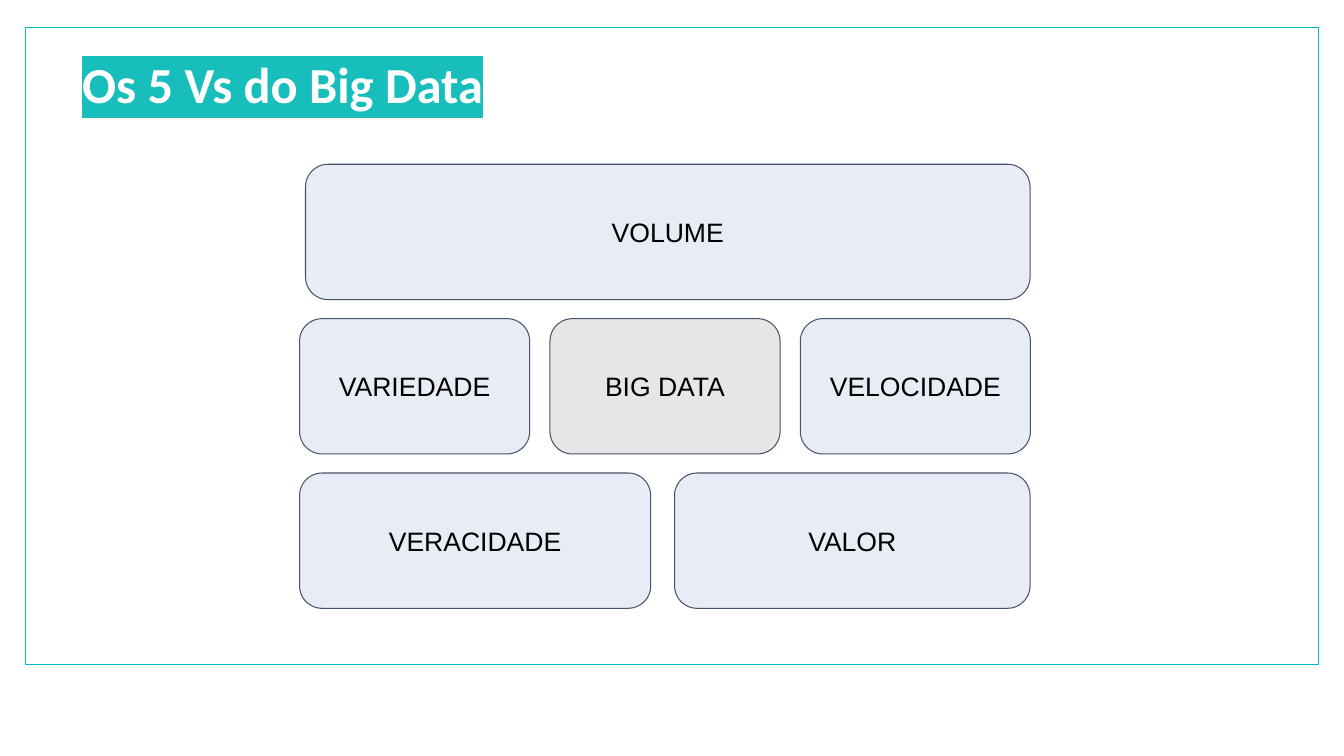
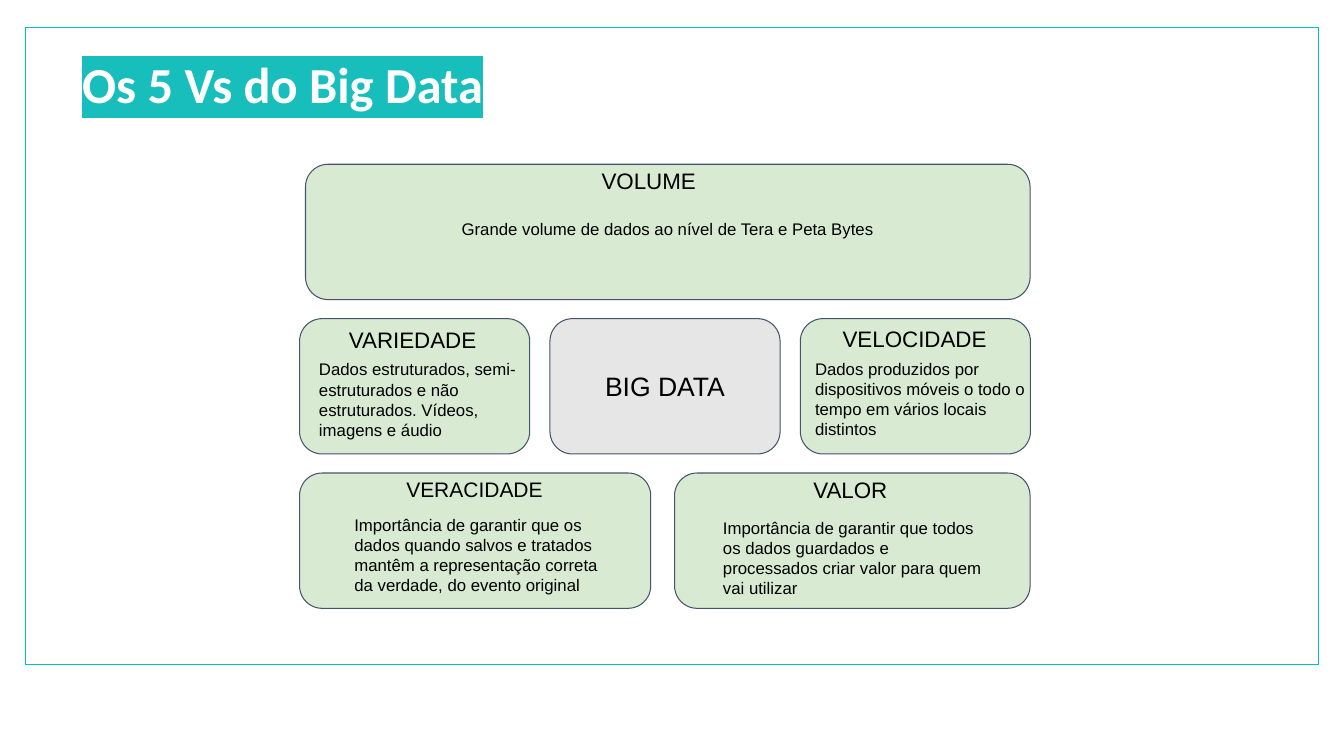
from lxml.etree import SubElement
from pptx import Presentation
from pptx.dml.color import RGBColor
from pptx.enum.shapes import MSO_SHAPE as Kind
from pptx.enum.text import MSO_ANCHOR as Anchor, MSO_AUTO_SIZE as Auto, PP_ALIGN as Align
from pptx.oxml.ns import qn
from pptx.util import Cm, Pt

WHITE = RGBColor(0xFF, 0xFF, 0xFF)
BLACK = RGBColor(0x00, 0x00, 0x00)
TEAL = RGBColor(0x17, 0xBE, 0xBB)
CYAN = RGBColor(0x01, 0xBD, 0xC4)
SLATE = RGBColor(0x44, 0x54, 0x6A)
GREY = RGBColor(0xE7, 0xE6, 0xE6)
BLUE = RGBColor(0xE8, 0xEC, 0xF4)
GREEN = RGBColor(0xD9, 0xEA, 0xD3)

TITLE = "Os 5 Vs do Big Data"
CORE = "BIG DATA"
INSET = 0.34

# Grid of cards, in cm
TOP, STEP, TALL = 4.14, 3.89, 3.41
LEFT, RIGHT = 7.55, 25.96
WIDE, NEXT = 5.8, 6.31

# Name: left, row, width
CARDS = {
    CORE: (LEFT + NEXT, 1, WIDE),
    "VARIEDADE": (LEFT, 1, WIDE),
    "VELOCIDADE": (LEFT + 2 * NEXT, 1, WIDE),
    "VERACIDADE": (LEFT, 2, 8.85),
    "VALOR": (17, 2, RIGHT - 17),
    "VOLUME": (7.7, 0, RIGHT - 7.7),
}

# Name, size, head (left, top, width), body (left, top, width, height), align, text
NOTES = [
    ("VOLUME", 16, (10.8, 3.86, 11.1), (11.28, 5.26, 11.1, 1.19), Align.CENTER,
     "Grande volume de dados ao nível de Tera e Peta Bytes"),
    ("VARIEDADE", 16, (7.65, 7.87, 5.5), (7.7, 8.71, 6.1, 2.74), Align.LEFT,
     "Dados estruturados, semi-estruturados e não estruturados. "
     "Vídeos, imagens e áudio"),
    ("VELOCIDADE", 16, (20.3, 7.85, 5.5), (20.2, 8.69, 6.1, 2.74), Align.LEFT,
     "Dados produzidos por dispositivos móveis o todo o tempo "
     "em vários locais distintos"),
    ("VERACIDADE", 15, (9.65, 11.68, 4.62), (8.59, 12.62, 7.34, 2.74), Align.LEFT,
     "Importância de garantir que os dados quando salvos e tratados "
     "mantêm a representação correta da verdade, do evento original"),
    ("VALOR", 16, (17.58, 11.66, 7.7), (17.88, 12.7, 7.34, 2.74), Align.LEFT,
     "Importância de garantir que todos os dados guardados e processados "
     "criar valor para quem vai utilizar"),
]


class Deck:
    def __init__(self):
        self.file = Presentation()
        self.file.slide_width, self.file.slide_height = Cm(33.87), Cm(19.05)
        self.look = self.file.slide_layouts[5]
        self.slide = None

    def start(self, title):
        first = self.slide is None
        self.slide = self.file.slides.add_slide(self.look)
        if first:
            self.frame()
        self.title(title)

    def frame(self):
        """Draw the border once and move it to the layout."""
        border = self.shape(Kind.RECTANGLE, (0.64, 0.69, 32.59, 16.05), None, CYAN, 1)
        self.look.shapes.element.append(border.element)

    def title(self, text):
        head = self.slide.shapes.title
        head.left, head.top, head.width, head.height = map(Cm, (1.73, 1.17, 30.12, 1.88))
        frame = self.pad(head, INSET, 0.18)
        frame.vertical_anchor = Anchor.TOP
        run = self.put(frame, text, 36, Align.LEFT, WHITE, "Calibri")
        run.font.bold = True
        fill = run.font._element.find(qn("a:solidFill"))
        mark = SubElement(run.font._element, qn("a:highlight"))
        SubElement(mark, qn("a:srgbClr"), val=str(TEAL))
        fill.addnext(mark)

    def shape(self, kind, area, fill, line, width):
        item = self.slide.shapes.add_shape(kind, *map(Cm, area))
        item.shadow.inherit = False
        if fill is None:
            item.fill.background()
        else:
            item.fill.solid()
            item.fill.fore_color.rgb = fill
        item.line.color.rgb = line
        item.line.width = Pt(width)
        return item

    def card(self, name, fill, label):
        left, row, width = CARDS[name]
        area = left, TOP + row * STEP, width, TALL
        item = self.shape(Kind.ROUNDED_RECTANGLE, area, fill, SLATE, 0.75)
        if label:
            frame = self.pad(item, INSET, INSET)
            frame.vertical_anchor = Anchor.MIDDLE
            self.put(frame, name, 19, Align.CENTER)

    def cards(self, fill, label):
        for name in CARDS:
            core = name == CORE
            self.card(name, GREY if core else fill, label or core)

    def text(self, area, text, size, align):
        box = self.slide.shapes.add_textbox(*map(Cm, area))
        frame = self.pad(box, INSET, INSET)
        frame.auto_size = Auto.SHAPE_TO_FIT_TEXT
        self.put(frame, text, size, align)

    def pad(self, item, side, end):
        """Set the insets and wrapping; return the text frame."""
        frame = item.text_frame
        frame.word_wrap = True
        frame.margin_left = frame.margin_right = Cm(side)
        frame.margin_top = frame.margin_bottom = Cm(end)
        return frame

    def put(self, frame, text, size, align, color=BLACK, face="Arial"):
        """Add a run to the first paragraph; return the run."""
        para = frame.paragraphs[0]
        para.alignment = align
        run = para.add_run()
        run.text = text
        run.font.size = Pt(size)
        run.font.color.rgb = color
        run.font.name = face
        return run


def main():
    deck = Deck()
    deck.start(TITLE)
    deck.cards(BLUE, True)

    deck.start(TITLE)
    deck.cards(GREEN, False)
    for name, size, head, body, align, text in NOTES:
        deck.text((*head, 1.37), name, size, Align.CENTER)
        deck.text(body, text, 12, align)

    deck.file.save("out.pptx")


if __name__ == "__main__":
    main()
